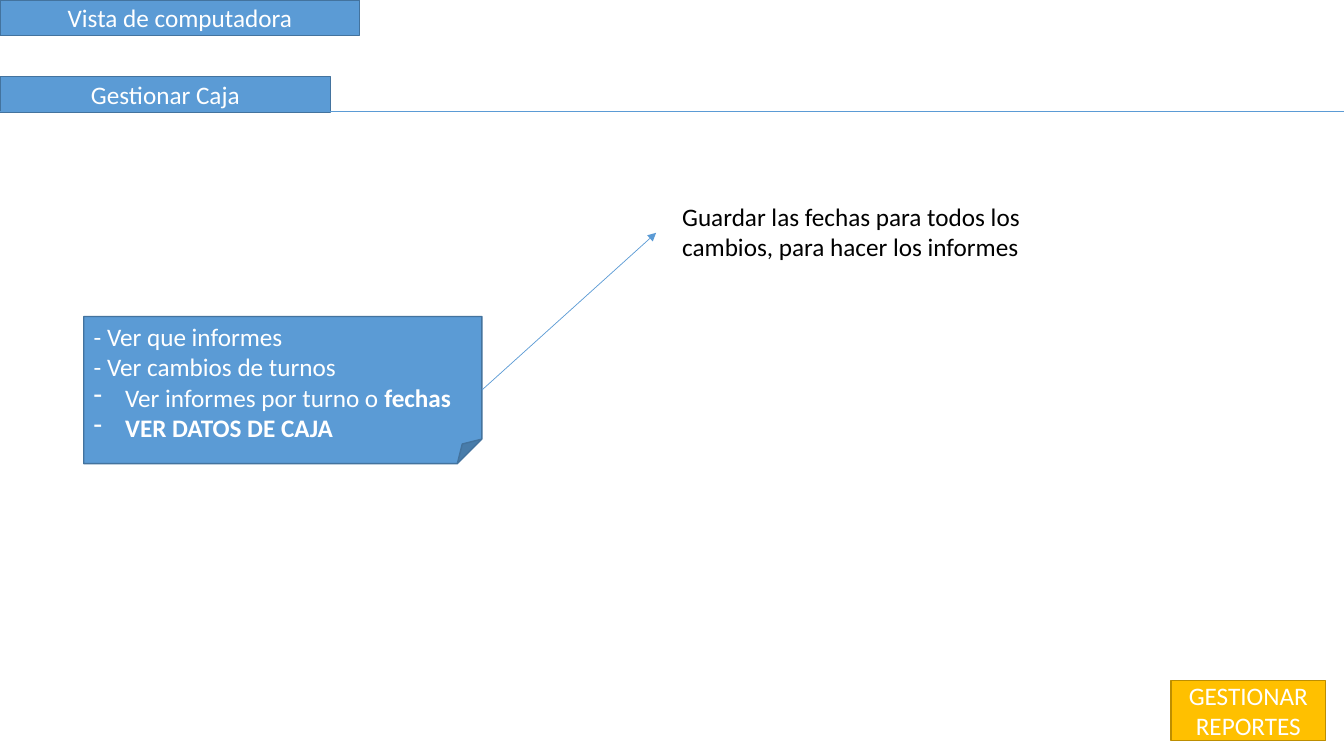
from pptx import Presentation
from pptx.dml.color import RGBColor as Rgb
from pptx.enum.shapes import MSO_CONNECTOR as Conn, MSO_SHAPE as Kind
from pptx.enum.text import MSO_ANCHOR as Anchor, MSO_AUTO_SIZE as Fit, PP_ALIGN as Align
from pptx.oxml.ns import qn
from pptx.util import Pt
from lxml.etree import SubElement as Sub

FONT = "Calibri"
COLORS = {"blue": "5B9BD5", "navy": "43739E", "gold": "FFC000",
          "ochre": "BD8E00", "white": "FFFFFF", "black": "000000"}

# Boxes are left, top, width, height in points.
TITLE = ("Vista de computadora", (0, 0, 257, 25.2))
TAB = ("Gestionar Caja", (0, 54.7, 236.2, 25.2))
BUTTON = ("GESTIONAR REPORTES", (836.6, 486, 110.2, 43.2))
NOTE_BOX = (59.8, 226.1, 284.4, 105.1)
# Each line: is it bulleted, then its runs as (text, bold).
NOTE = [
    (False, [("- Ver que informes", False)]),
    (False, [("- Ver cambios de turnos", False)]),
    (True, [("Ver informes por turno o ", False), ("fechas", True)]),
    (True, [("VER DATOS DE CAJA", True)]),
]
HINT = ("Guardar las fechas para todos los cambios, para hacer los informes",
        (480.2, 140.4, 283.7, 50.9))
TIP = (468.7, 166.3)
WIDTH, HEIGHT = 960, 540
INDENT = 22.5


def tint(name):
    return Rgb.from_string(COLORS[name])


def plain(text):
    return [(False, [(text, False)])]


def write(shape, lines, color="white", align=Align.CENTER, anchor=Anchor.MIDDLE, fit=Fit.NONE):
    frame = shape.text_frame
    frame.word_wrap = True
    frame.auto_size = fit
    frame.vertical_anchor = anchor
    for i, (dash, runs) in enumerate(lines):
        para = frame.add_paragraph() if i else frame.paragraphs[0]
        para.alignment = align
        if dash:
            props = para._p.get_or_add_pPr()
            props.set("marL", str(Pt(INDENT)))
            props.set("indent", str(-Pt(INDENT)))
            Sub(props, qn("a:buFontTx"))
            Sub(props, qn("a:buChar")).set("char", "-")
        for text, bold in runs:
            run = para.add_run()
            run.text = text
            font = run.font
            font.name, font.size, font.bold = FONT, Pt(18), bold
            font.color.rgb = tint(color)


def paint(shape, fill="blue", edge="navy"):
    shape.fill.solid()
    shape.fill.fore_color.rgb = tint(fill)
    shape.line.color.rgb = tint(edge)
    shape.line.width = Pt(1)


def add_box(slide, kind, box, **style):
    shape = slide.shapes.add_shape(kind, *map(Pt, box))
    shape.shadow.inherit = False
    paint(shape, **style)
    return shape


def add_line(slide, start, end, arrow=False):
    line = slide.shapes.add_connector(Conn.STRAIGHT, *map(Pt, start + end))
    line.line.color.rgb = tint("blue")
    line.line.width = Pt(0.5)
    if arrow:
        Sub(line.line._get_or_add_ln(), qn("a:tailEnd")).set("type", "triangle")
    Sub(line._element.spPr, qn("a:effectLst"))


def main():
    deck = Presentation()
    deck.slide_width, deck.slide_height = Pt(WIDTH), Pt(HEIGHT)
    slide = deck.slides.add_slide(deck.slide_layouts[5])

    text, box = TITLE
    title = slide.shapes.title
    title.left, title.top, title.width, title.height = map(Pt, box)
    paint(title)
    write(title, plain(text))

    text, box = BUTTON
    write(add_box(slide, Kind.RECTANGLE, box, fill="gold", edge="ochre"), plain(text))

    text, box = TAB
    write(add_box(slide, Kind.RECTANGLE, box), plain(text))
    rule = box[1] + box[3]
    add_line(slide, (0, rule), (WIDTH, rule))

    note = add_box(slide, Kind.FOLDED_CORNER, NOTE_BOX)
    write(note, NOTE, align=Align.LEFT, anchor=Anchor.TOP)
    left, top, wide, high = NOTE_BOX
    add_line(slide, (left + wide, top + high / 2), TIP, arrow=True)

    text, box = HINT
    hint = slide.shapes.add_textbox(*map(Pt, box))
    write(hint, plain(text), color="black", align=Align.LEFT,
          anchor=Anchor.TOP, fit=Fit.SHAPE_TO_FIT_TEXT)

    deck.save("out.pptx")


if __name__ == "__main__":
    main()
